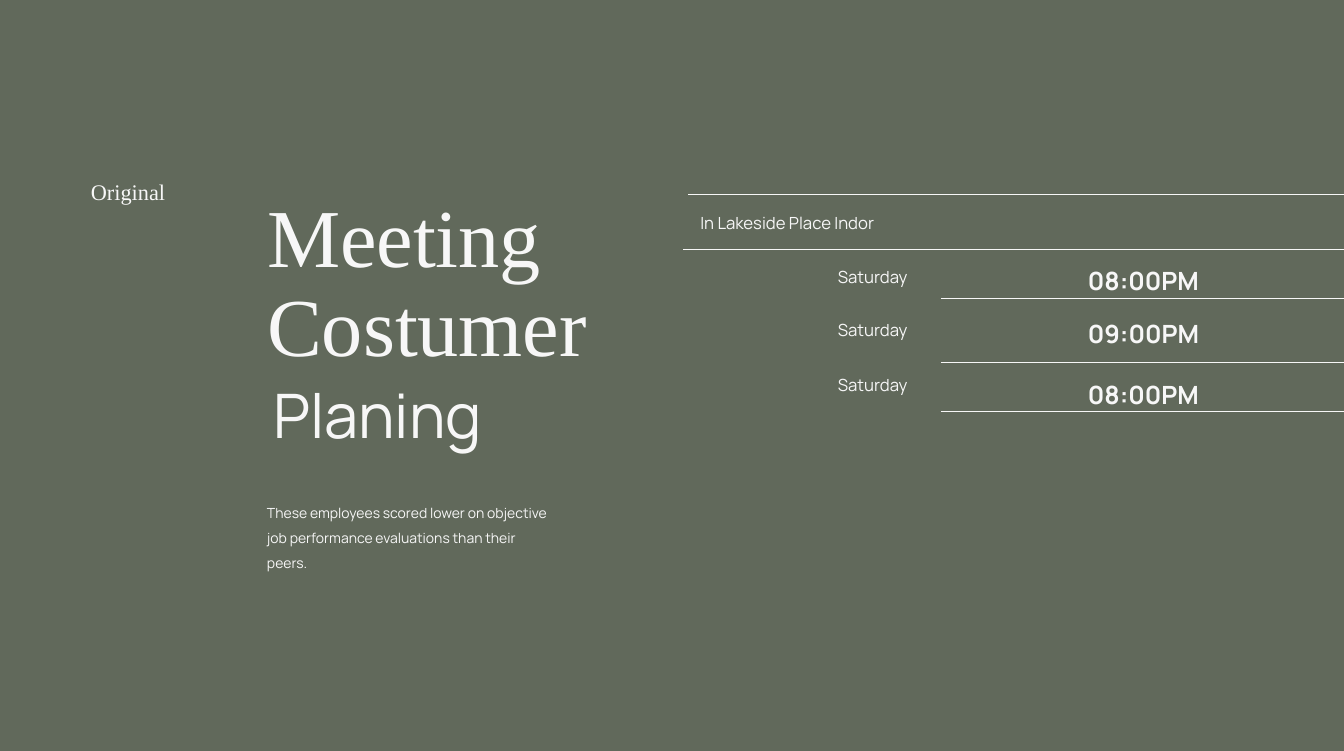
"""Meeting planning slide: a large title beside a short evening schedule."""
from lxml import etree
from pptx import Presentation
from pptx import util as u
from pptx.dml.color import RGBColor
from pptx.enum import shapes, text
from pptx.oxml.ns import qn

COLORS = {"back": "61695B", "ink": "F7F7F7"}
SERIF, SANS = "Times New Roman", "Manrope"
WIDTH, HEIGHT = 26.77, 14.96

# Places are percentages of the slide's width and height.
TITLE = ("Meeting Costumer", (19.5, 25.8, 38.44, 28.27), SERIF, 118, 0.9)
LABELS = [
    ("Planing", (19.95, 51, 19.54, 11.1), SANS, 88, 0.9),
    ("These employees scored lower on objective job performance evaluations "
     "than their peers.", (19.5, 65.71, 22.04, 10.49), SANS, 20, 1.5),
    ("Original", (6.39, 24.06, 8.55, 3.88), SERIF, 32, 0.8),
    ("In Lakeside Place Indor", (51.74, 27.94, 16.47, 3.34), SANS, 24, 1),
]
HEADER_RULES = [(51.21, 25.8), (50.84, 33.16)]
DAY_LEFT, TIME_LEFT, RULE_LEFT = 61.97, 80.58, 70
SCHEDULE = [
    ("Saturday", 35.23, "08:00PM", 34.96, 39.71),
    ("Saturday", 42.31, "09:00PM", 42.11, 48.2),
    ("Saturday", 49.6, "08:00PM", 50.13, 54.81),
]


def across(share):
    return u.Inches(WIDTH * share / 100)


def down(share):
    return u.Inches(HEIGHT * share / 100)


def write(sp, words, box, font, size, spacing=1, bold=False):
    left, top, width, height = box
    sp.left, sp.top = across(left), down(top)
    sp.width, sp.height = across(width), down(height)
    tf = sp.text_frame
    tf.word_wrap = True
    tf.auto_size = text.MSO_AUTO_SIZE.NONE
    tf.vertical_anchor = text.MSO_ANCHOR.TOP
    p = tf.paragraphs[0]
    p.alignment = text.PP_ALIGN.LEFT
    p.line_spacing = spacing
    r = p.add_run()
    r.text = words
    r.font.name, r.font.size, r.font.bold = font, u.Pt(size), bold
    r.font.color.rgb = RGBColor.from_string(COLORS["ink"])


def add_label(s, *content, **style):
    write(s.shapes.add_textbox(0, 0, 0, 0), *content, **style)


def add_rule(s, left, top):
    line = s.shapes.add_connector(shapes.MSO_CONNECTOR.STRAIGHT, across(left),
                                  down(top), across(100), down(top))
    line.line.color.rgb = RGBColor.from_string(COLORS["ink"])
    line.line.width = u.Pt(0.5)
    etree.SubElement(line._element.spPr, qn("a:effectLst"))


def main():
    prs = Presentation()
    prs.slide_width, prs.slide_height = across(100), down(100)
    s = prs.slides.add_slide(prs.slide_layouts[5])
    s.background.fill.solid()
    s.background.fill.fore_color.rgb = RGBColor.from_string(COLORS["back"])

    write(s.shapes.title, *TITLE)
    for label in LABELS:
        add_label(s, *label)
    for left, top in HEADER_RULES:
        add_rule(s, left, top)
    for day, day_top, time, time_top, rule_top in SCHEDULE:
        add_label(s, day, (DAY_LEFT, day_top, 8.48, 3.34), SANS, 24)
        add_label(s, time, (TIME_LEFT, time_top, 11.73, 4.75), SANS, 36, bold=True)
        add_rule(s, RULE_LEFT, rule_top)
    prs.save("out.pptx")


if __name__ == "__main__":
    main()
